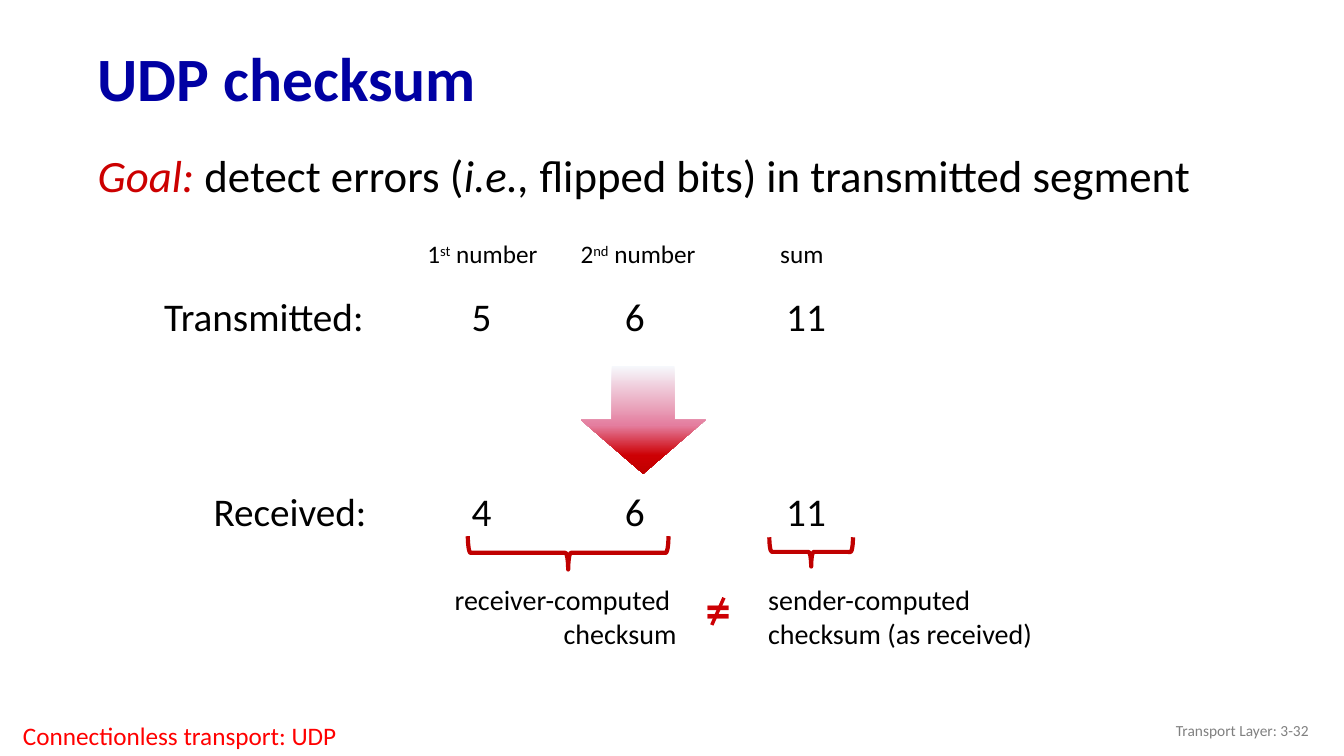
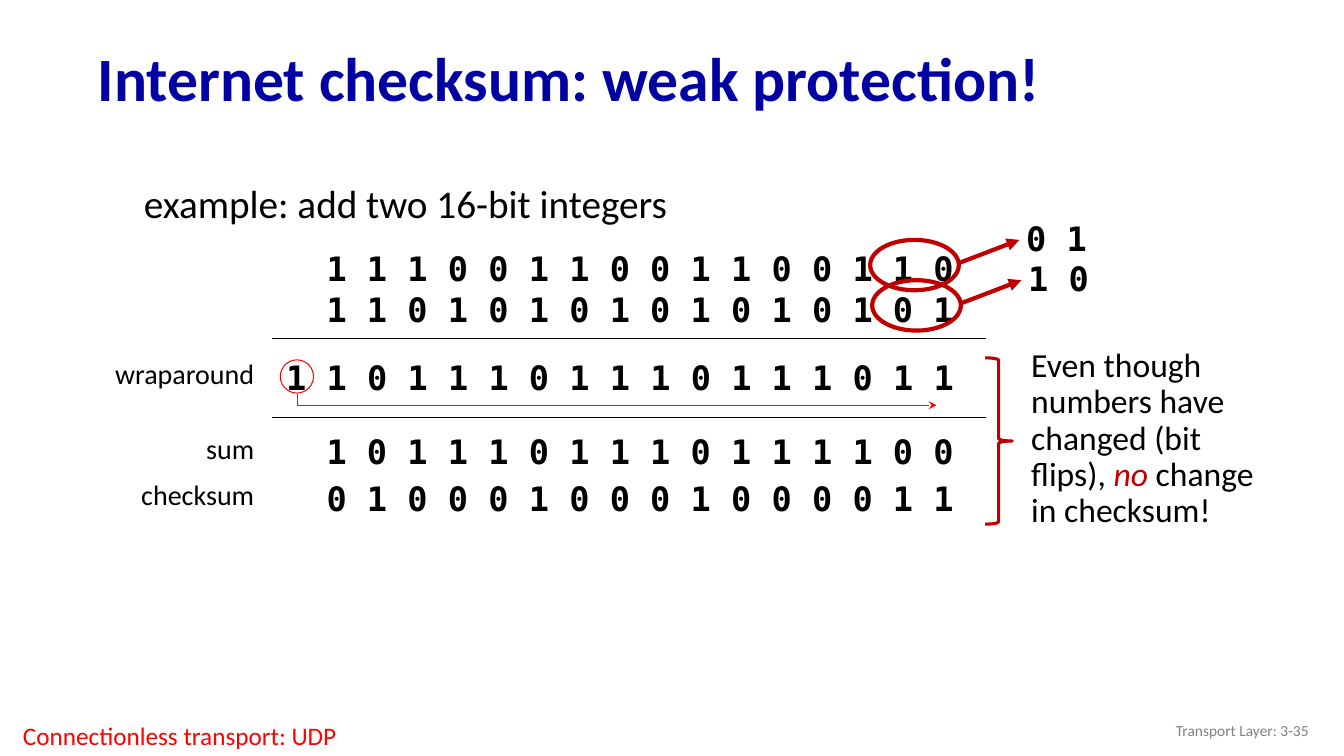
from dataclasses import dataclass
from typing import NamedTuple

from lxml import etree
from pptx import Presentation
from pptx.dml.color import RGBColor
from pptx.enum.shapes import MSO_CONNECTOR, MSO_SHAPE
from pptx.enum.text import MSO_ANCHOR, PP_ALIGN
from pptx.oxml.ns import qn
from pptx.util import Inches, Pt

STRAIGHT = MSO_CONNECTOR.STRAIGHT
OVAL, BRACE, ARROW = MSO_SHAPE.OVAL, MSO_SHAPE.RIGHT_BRACE, MSO_SHAPE.DOWN_ARROW
LEFT, RIGHT = PP_ALIGN.LEFT, PP_ALIGN.RIGHT
TOP, MIDDLE = MSO_ANCHOR.TOP, MSO_ANCHOR.MIDDLE

SANS, MONO = "Calibri", "DejaVu Sans Mono"
BLACK, NAVY, GRAY = "000000", "0000A3", "808080"
RED, DARK, DEEP, SIGN = "FF0000", "C00000", "CC0000", "CD0004"
FADE = [(0, "F6F8FC"), (55, "E47E9F"), (83, SIGN), (100, DARK)]


class Box(NamedTuple):
    x: float
    y: float
    w: float
    h: float

    def inches(self):
        return [Inches(side) for side in self]


@dataclass
class Run:
    text: str
    color: str = ""
    italic: bool = False
    raised: bool = False


@dataclass
class Row:
    label: str
    x: float
    y: float
    values: tuple


@dataclass
class Bits:
    y: float
    digits: str
    label: str = ""
    x: float = 3.14


@dataclass
class Flip:
    """A circled bit pair with an arrow to its changed value."""
    x: float
    y: float
    digits: str


def rgb(code: str) -> RGBColor:
    return RGBColor.from_string(code)


def write(frame, *paras, size=20, color=BLACK, font=SANS, bold=False,
          align=LEFT, anchor=TOP, leading=None, tabs=()):
    """Fill a text frame; each paragraph is a string or a list of Runs."""
    frame.word_wrap = True
    frame.vertical_anchor = anchor
    for i, para in enumerate(paras):
        p = frame.add_paragraph() if i else frame.paragraphs[0]
        p.alignment = align
        p.line_spacing = leading
        if tabs:
            stops = etree.SubElement(p._p.get_or_add_pPr(), qn("a:tabLst"))
            for stop in tabs:
                etree.SubElement(stops, qn("a:tab"), pos=str(Inches(stop)), algn="l")
        for part in [Run(para)] if isinstance(para, str) else para:
            run = p.add_run()
            run.text = part.text
            run.font.name, run.font.size = font, Pt(size)
            run.font.bold, run.font.italic = bold, part.italic
            run.font.color.rgb = rgb(part.color or color)
            if part.raised:
                run._r.get_or_add_rPr().set("baseline", "30000")


def text(slide, box: Box, *paras, **style):
    write(slide.shapes.add_textbox(*box.inches()).text_frame, *paras, **style)


def stroke(item, color: str, width: float, head: str = ""):
    item.line.color.rgb = rgb(color)
    item.line.width = Pt(width)
    if head:
        etree.SubElement(item.line._get_or_add_ln(), qn("a:tailEnd"), type=head)


def outline(slide, kind, box: Box, color=DARK, width=3.0, turn=0):
    shape = slide.shapes.add_shape(kind, *box.inches())
    shape.shadow.inherit = False
    shape.fill.background()
    shape.rotation = turn
    stroke(shape, color, width)


def line(slide, x1: float, y1: float, x2: float, y2: float,
         color=BLACK, width=1.0, head=""):
    link = slide.shapes.add_connector(
        STRAIGHT, Inches(x1), Inches(y1), Inches(x2), Inches(y2))
    stroke(link, color, width, head)
    etree.SubElement(link._element.spPr, qn("a:effectLst"))


def fade(slide, box: Box):
    """Draw the down arrow that shades from pale to red."""
    shape = slide.shapes.add_shape(ARROW, *box.inches())
    shape.shadow.inherit = False
    shape.line.fill.background()
    shape.fill.gradient()
    shape.fill.gradient_angle = 270
    stops = shape._element.spPr.find(".//" + qn("a:gsLst"))
    for old in list(stops):
        stops.remove(old)
    for place, color in FADE:
        stop = etree.SubElement(stops, qn("a:gs"), pos=str(place * 1000))
        etree.SubElement(stop, qn("a:srgbClr"), val=color)


def start(deck, title: str, page: int):
    """Add a slide with its title and both footers."""
    slide = deck.slides.add_slide(deck.slide_layouts[5])
    head = slide.shapes.title
    head.left, head.top, head.width, head.height = Box(0.87, 0.32, 12.14, 0.98).inches()
    write(head.text_frame, title, size=44, color=NAVY, bold=True,
          anchor=MIDDLE, leading=0.9)
    text(slide, Box(10.08, 7.05, 3, 0.4), f"Transport Layer: 3-{page}",
         size=11, color=GRAY, align=RIGHT, anchor=MIDDLE)
    text(slide, Box(0.13, 7.1, 6.54, 0.4), "Connectionless transport: UDP",
         size=18, color=RED)
    return slide


def goal(deck):
    slide = start(deck, "UDP checksum", 32)
    text(slide, Box(0.87, 1.5, 12.14, 0.93),
         [Run("Goal:", DEEP, italic=True), Run(" detect errors ("),
          Run("i.e., ", italic=True), Run("flipped bits) in transmitted segment")],
         size=32, leading=0.85)

    for x, count, suffix in [(4.14, "1", "st"), (5.66, "2", "nd")]:
        text(slide, Box(x, 2.32, 1.5, 0.4),
             [Run(count), Run(suffix, raised=True), Run(" number")], size=18)
    text(slide, Box(7.64, 2.32, 0.8, 0.4), "sum", size=18)

    stops = (4.68, 6.2, 7.8)
    for row in [Row("Transmitted:", 1.53, 2.9, (5, 6, 11)),
                Row("Received:", 2.02, 4.84, (4, 6, 11))]:
        text(slide, Box(row.x, row.y, 11, 0.63),
             "\t".join([row.label, *map(str, row.values)]), size=28, leading=0.9,
             tabs=[stop - row.x - 0.1 for stop in stops])
    fade(slide, Box(5.76, 3.63, 1.24, 1.07))

    outline(slide, BRACE, Box(5.47, 4.49, 0.33, 1.99), turn=90)
    outline(slide, BRACE, Box(7.9, 5.06, 0.29, 0.83), turn=90)
    text(slide, Box(4.38, 5.73, 2.43, 0.77), "receiver-computed ", "checksum", align=RIGHT)
    text(slide, Box(7.52, 5.73, 2.95, 0.77), "sender-computed", "checksum (as received)")
    text(slide, Box(6.9, 5.69, 0.5, 0.71), "=", size=36, color=SIGN, bold=True)
    line(slide, 7.18, 5.93, 7.06, 6.2, SIGN, 2.5)


def weak(deck):
    slide = start(deck, "Internet checksum: weak protection!", 35)
    text(slide, Box(1.33, 1.59, 8.5, 0.8), "example: add two 16-bit integers",
         size=28, leading=1.3)
    code = dict(size=24, font=MONO, bold=True)

    for row in [Bits(2.41, "1110011001100110"),
                Bits(2.82, "1101010101010101"),
                Bits(3.49, "11011101110111011", "wraparound", 2.74),
                Bits(4.23, "1011101110111100", "sum"),
                Bits(4.69, "0100010001000011", "checksum")]:
        text(slide, Box(row.x, row.y, 9.75 - row.x, 0.5), " ".join(row.digits), **code)
        if row.label:
            text(slide, Box(0.9, row.y, 1.72, 0.44), row.label, align=RIGHT)
    for y in (3.36, 4.14):
        line(slide, 2.7, y, 9.78, y)

    outline(slide, OVAL, Box(2.78, 3.57, 0.33, 0.33), RED, 0.75)
    pen = slide.shapes.build_freeform(Inches(2.95), Inches(3.91))
    pen.add_line_segments([(Inches(2.95), Inches(4.02)), (Inches(9.29), Inches(4.02))],
                          close=False)
    carry = pen.convert_to_shape()
    carry.shadow.inherit = False
    carry.fill.background()
    stroke(carry, RED, 0.75, "stealth")

    for flip in [Flip(8.63, 2.38, "01"), Flip(8.65, 2.78, "10")]:
        x, y = flip.x, flip.y
        outline(slide, OVAL, Box(x, y, 0.88, 0.5))
        line(slide, x + 0.88, y + 0.23, x + 1.48, y, DARK, 3, "triangle")
        text(slide, Box(x + 1.45, y - 0.27, 1, 0.5), " ".join(flip.digits), **code)

    outline(slide, BRACE, Box(9.77, 3.55, 0.27, 1.65), width=2.25)
    text(slide, Box(10.13, 3.41, 2.63, 1.92),
         [Run("Even though numbers have changed (bit flips), "),
          Run("no", DARK, italic=True), Run(" change in checksum!")],
         size=24, leading=0.9)


def main():
    deck = Presentation()
    deck.slide_width, deck.slide_height = Inches(13.33), Inches(7.5)
    goal(deck)
    weak(deck)
    deck.save("out.pptx")


if __name__ == "__main__":
    main()
